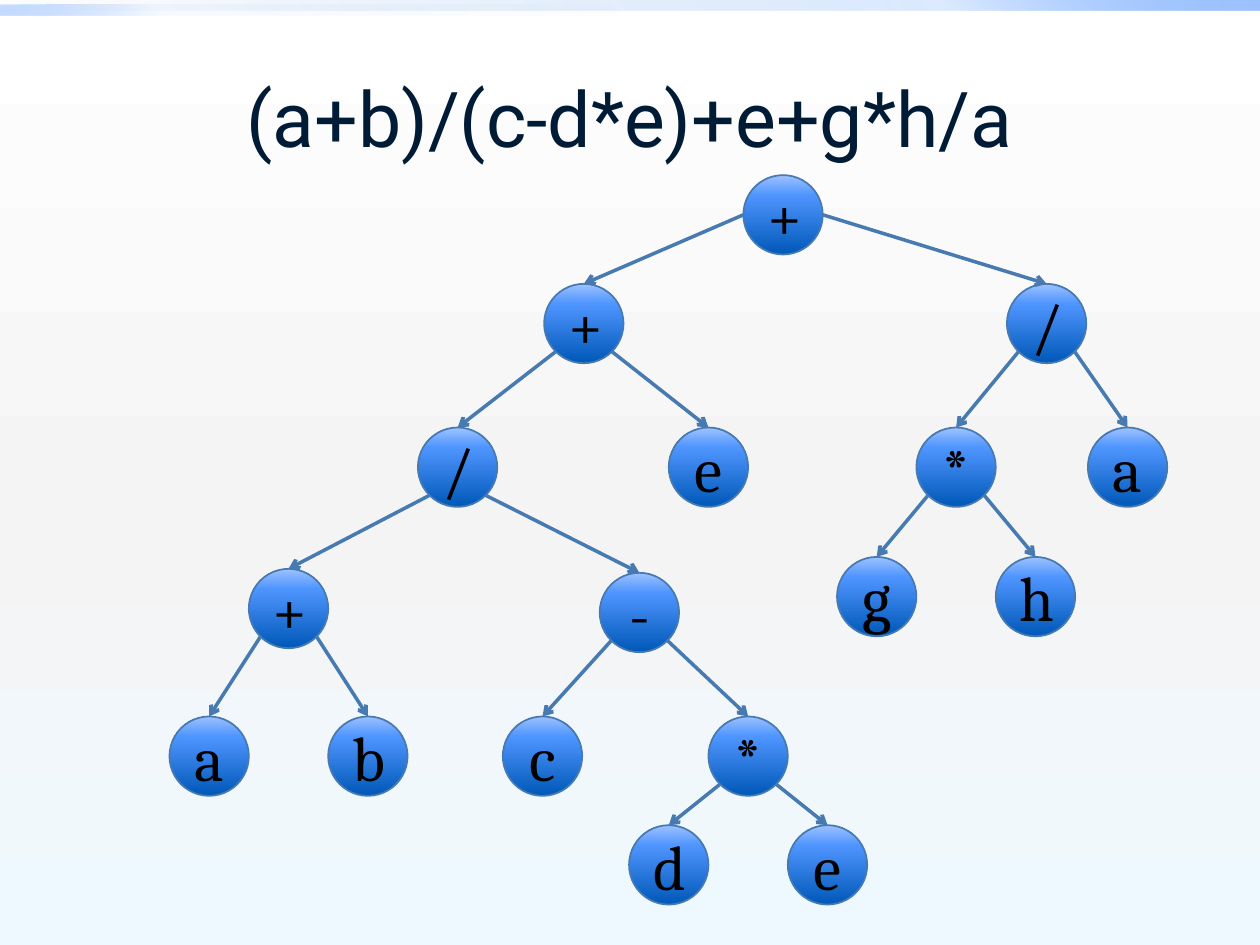
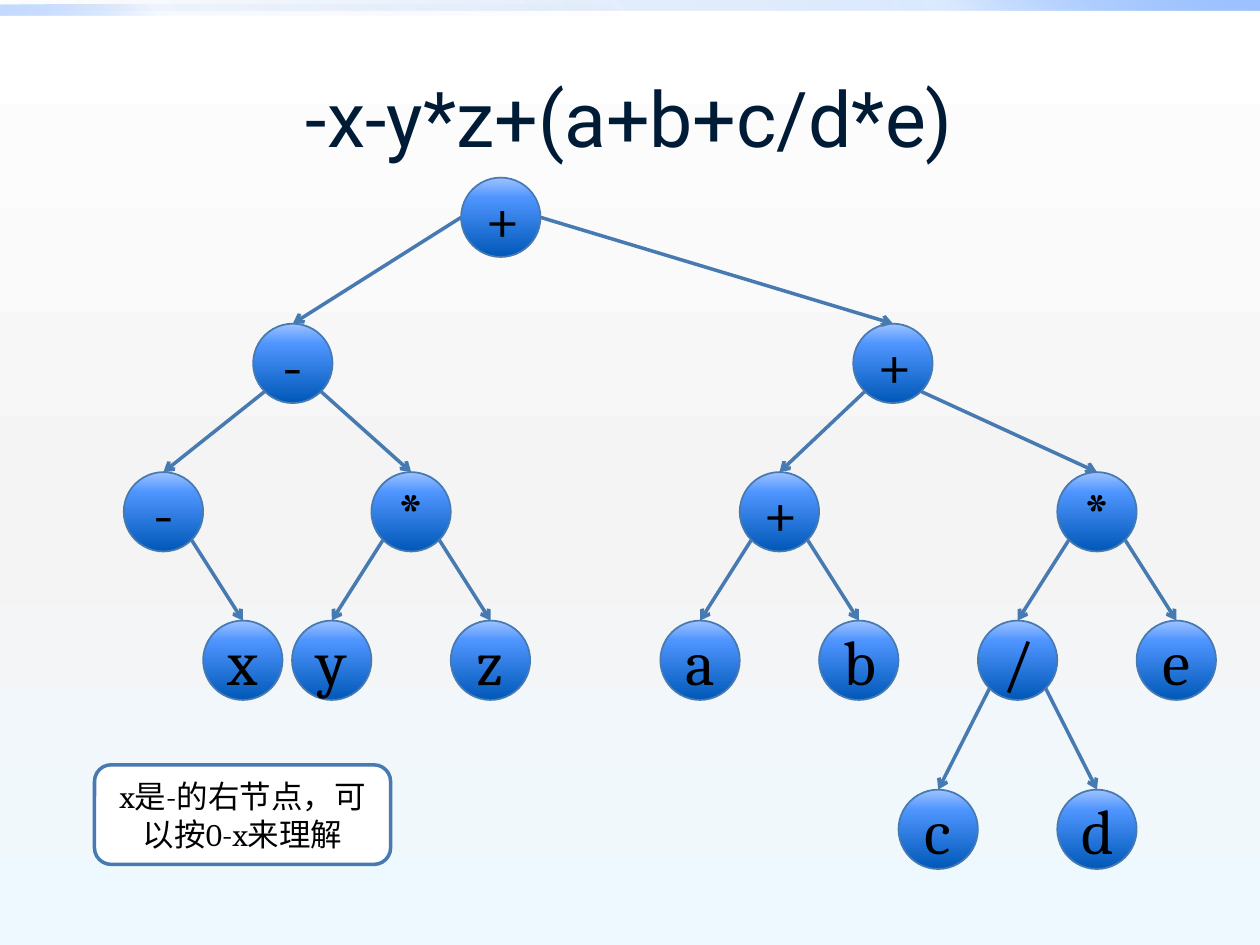
from math import sqrt

from lxml import etree
from pptx import Presentation
from pptx.dml.color import RGBColor
from pptx.enum.shapes import MSO_CONNECTOR, MSO_SHAPE
from pptx.enum.text import MSO_ANCHOR, PP_ALIGN
from pptx.oxml.ns import qn
from pptx.util import Inches, Pt

OVAL, BOX, ROUNDED = MSO_SHAPE.OVAL, MSO_SHAPE.RECTANGLE, MSO_SHAPE.ROUNDED_RECTANGLE
STRAIGHT = MSO_CONNECTOR.STRAIGHT
MIDDLE, CENTER = MSO_ANCHOR.MIDDLE, PP_ALIGN.CENTER

NAVY = RGBColor(0x00, 0x1B, 0x36)
BLACK = RGBColor(0x00, 0x00, 0x00)
WHITE = RGBColor(0xFF, 0xFF, 0xFF)
SMOKE = RGBColor(0xF4, 0xF4, 0xF4)
ICE = RGBColor(0xEE, 0xF9, 0xFF)
STEEL = RGBColor(0x47, 0x7A, 0xB1)
DEEP = RGBColor(0x00, 0x58, 0xB7)
BRIGHT = RGBColor(0x4F, 0x95, 0xFF)
PALE = RGBColor(0x9E, 0xC2, 0xFF)

WIDTH, HEIGHT = Inches(10), Inches(7.5)
NODE = Inches(0.63)  # node diameter, the unit of the tree grid
BAND = Inches(0.08)

# Gradient stops: position, colour, opacity, all in percent
PAGE_STOPS = [(0, WHITE, 100), (55, SMOKE, 100), (100, ICE, 100)]
NODE_STOPS = [(0, DEEP, 100), (75, BRIGHT, 100), (100, PALE, 100)]
BANDS = [  # top, width, angle, stops
    (0, WIDTH, 315, [(0, DEEP, 0), (75, BRIGHT, 20), (100, PALE, 100)]),
    (BAND // 2, WIDTH // 2, 135, [(0, DEEP, 0), (75, BRIGHT, 5), (100, PALE, 60)]),
]

# Each tree: formula, root position in inches, nodes.
# Node: symbol, index of its parent, shift and drop from the parent in diameters
TREES = [
    ("(a+b)/(c-d*e)+e+g*h/a", (5.9, 1.39), [
        ("+", None, 0, 0),
        ("+", 0, -2.51, 1.37), ("/", 0, 3.32, 1.37),
        ("/", 1, -1.59, 1.81), ("e", 1, 1.57, 1.81),
        ("*", 2, -1.14, 1.81), ("a", 2, 1.02, 1.81),
        ("+", 3, -2.13, 1.78), ("-", 3, 2.29, 1.83),
        ("g", 5, -1, 1.63), ("h", 5, 1, 1.63),
        ("a", 7, -1, 1.86), ("b", 7, 1, 1.86),
        ("c", 8, -1.22, 1.81), ("*", 8, 1.37, 1.81),
        ("d", 14, -1, 1.37), ("e", 14, 1, 1.37),
    ]),
    ("-x-y*z+(a+b+c/d*e)", (3.66, 1.41), [
        ("+", None, 0, 0),
        ("-", 0, -2.62, 1.84), ("+", 0, 4.94, 1.84),
        ("-", 1, -1.63, 1.87), ("*", 1, 1.49, 1.87),
        ("+", 2, -1.43, 1.87), ("*", 2, 2.57, 1.87),
        ("x", 3, 1, 1.87),
        ("y", 4, -1, 1.87), ("z", 4, 1, 1.87),
        ("a", 5, -1, 1.87), ("b", 5, 1, 1.87),
        ("/", 6, -1, 1.87), ("e", 6, 1, 1.87),
        ("c", 12, -1, 2.13), ("d", 12, 1, 2.13),
    ]),
]


def fill_gradient(properties, stops, angle):
    """Put a linear gradient after the outline in a shape's or page's properties."""
    gradient = etree.Element(qn("a:gradFill"), rotWithShape="1")
    stop_list = etree.SubElement(gradient, qn("a:gsLst"))
    for position, color, opacity in stops:
        stop = etree.SubElement(stop_list, qn("a:gs"), pos=str(position * 1000))
        tone = etree.SubElement(stop, qn("a:srgbClr"), val=str(color))
        if opacity < 100:
            etree.SubElement(tone, qn("a:alpha"), val=str(opacity * 1000))
    etree.SubElement(gradient, qn("a:lin"), ang=str(angle * 60000), scaled="0")
    outline = properties.find(qn("a:prstGeom"))
    properties.insert(0 if outline is None else properties.index(outline) + 1, gradient)


def write(shape, text, size, font, color):
    """Write one centred line of text into a shape."""
    frame = shape.text_frame
    frame.word_wrap = True
    frame.vertical_anchor = MIDDLE
    paragraph = frame.paragraphs[0]
    paragraph.alignment = CENTER
    run = paragraph.add_run()
    run.text = text
    run.font.size, run.font.name = Pt(size), font
    run.font.color.rgb = color


prs = Presentation()
prs.slide_width, prs.slide_height = WIDTH, HEIGHT
blank = prs.slide_layouts[6]

for formula, (root_left, root_top), nodes in TREES:
    slide = prs.slides.add_slide(blank)
    shapes = slide.shapes

    # Page background, top bands and title
    slide.background.fill.solid()
    page = slide.background._cSld.bg.bgPr
    page.remove(page.find(qn("a:solidFill")))
    fill_gradient(page, PAGE_STOPS, 90)
    for top, width, angle, stops in BANDS:
        band = shapes.add_shape(BOX, 0, top, width, BAND)
        band.shadow.inherit = False
        band.line.fill.background()
        fill_gradient(band._element.spPr, stops, angle)
    title = shapes.add_textbox(WIDTH * 0.05, HEIGHT * 0.04, WIDTH * 0.9, HEIGHT / 6)
    write(title, formula, 44, "Roboto", NAVY)

    # Nodes, each placed from its parent
    circles = []
    for symbol, parent, shift, drop in nodes:
        if parent is None:
            left, top = Inches(root_left), Inches(root_top)
        else:
            left = circles[parent].left + int(shift * NODE)
            top = circles[parent].top + int(drop * NODE)
        circle = shapes.add_shape(OVAL, left, top, NODE, NODE)
        circle.shadow.inherit = False
        circle.line.color.rgb, circle.line.width = STEEL, Pt(1)
        fill_gradient(circle._element.spPr, NODE_STOPS, 270)
        write(circle, symbol, 36, "Cambria", BLACK)
        circles.append(circle)

    # Arrows leave the root at its sides, other parents at their lower diagonals
    for child, (_, parent, shift, _) in zip(circles, nodes):
        if parent is None:
            continue
        radius = NODE / 2
        side = 1 if shift > 0 else -1
        across, down = (radius, 0) if parent == 0 else (radius / sqrt(2), radius / sqrt(2))
        start_x = int(circles[parent].left + radius + side * across)
        start_y = int(circles[parent].top + radius + down)
        edge = shapes.add_connector(STRAIGHT, start_x, start_y, child.left, child.top)
        edge.end_connect(child, 0)
        edge.line.color.rgb, edge.line.width = STEEL, Pt(2)
        etree.SubElement(edge.line._get_or_add_ln(), qn("a:tailEnd"), type="arrow")
        etree.SubElement(edge._element.spPr, qn("a:effectLst"))

# Remark on the unary minus, on the last slide
remark = shapes.add_shape(ROUNDED, Inches(0.75), Inches(6.07), Inches(2.35), Inches(0.79))
remark.shadow.inherit = False
remark.fill.solid()
remark.fill.fore_color.rgb = WHITE
remark.line.color.rgb, remark.line.width = STEEL, Pt(2)
write(remark, "x是-的右节点，可以按0-x来理解", 18, "Cambria", BLACK)

prs.save("out.pptx")
